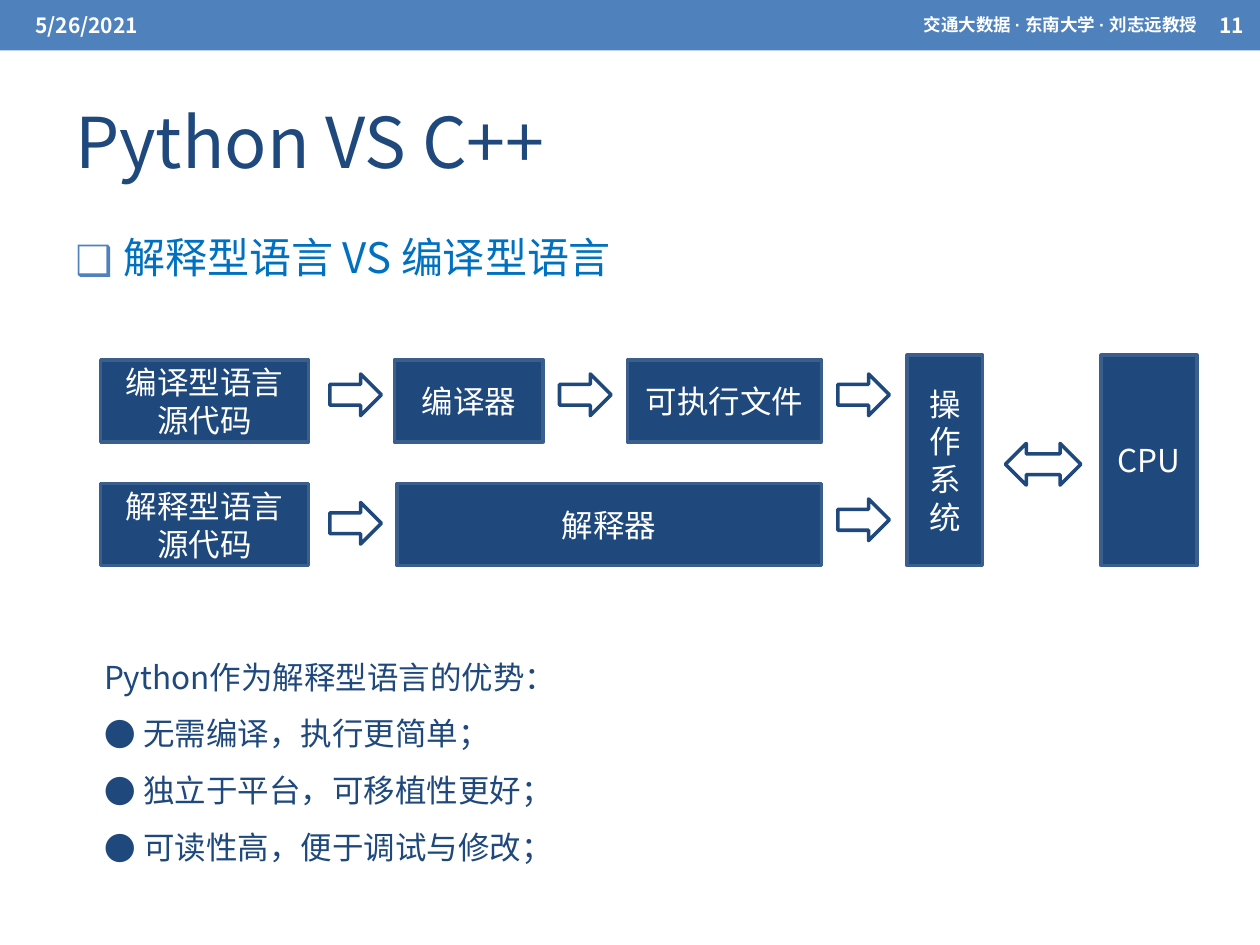
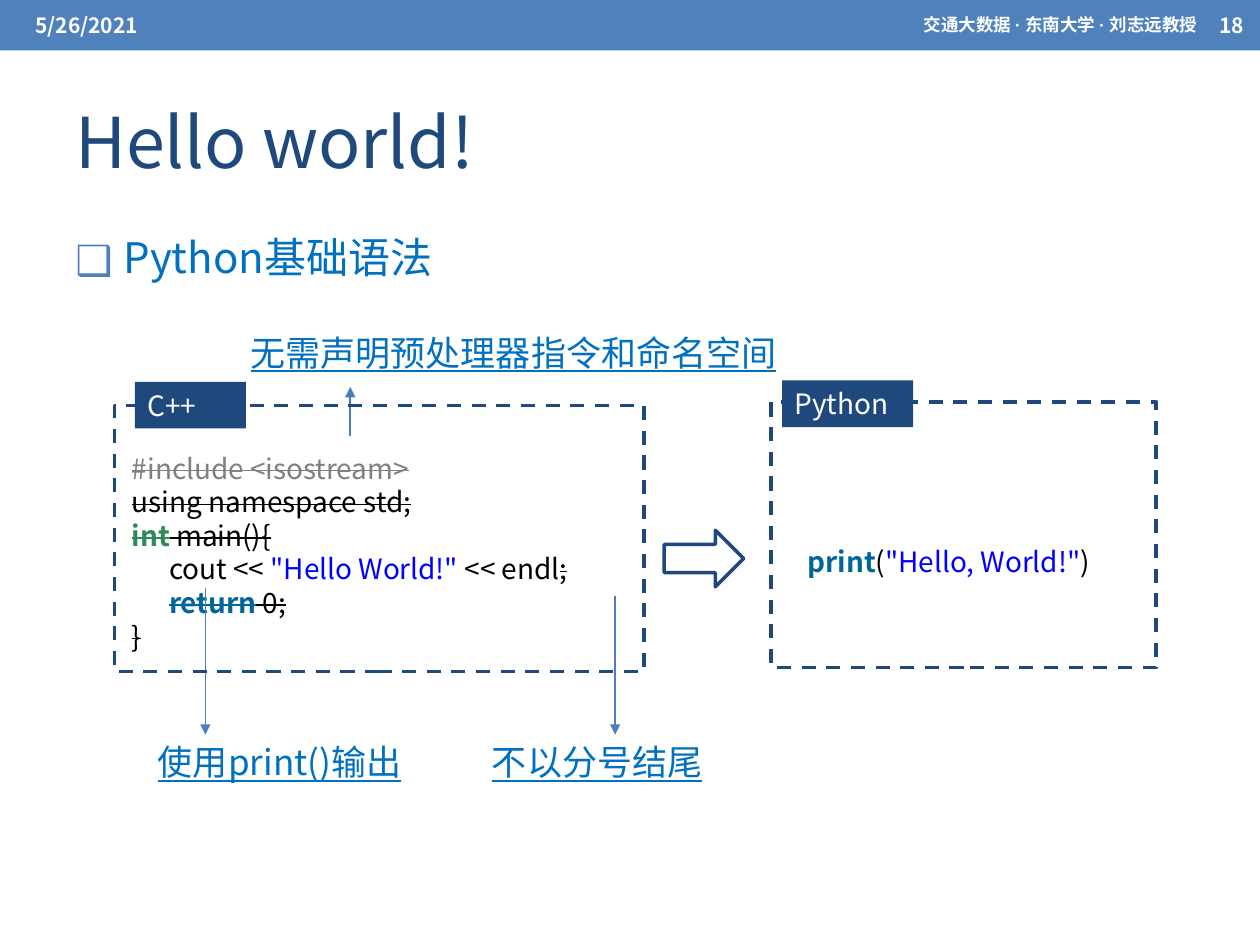
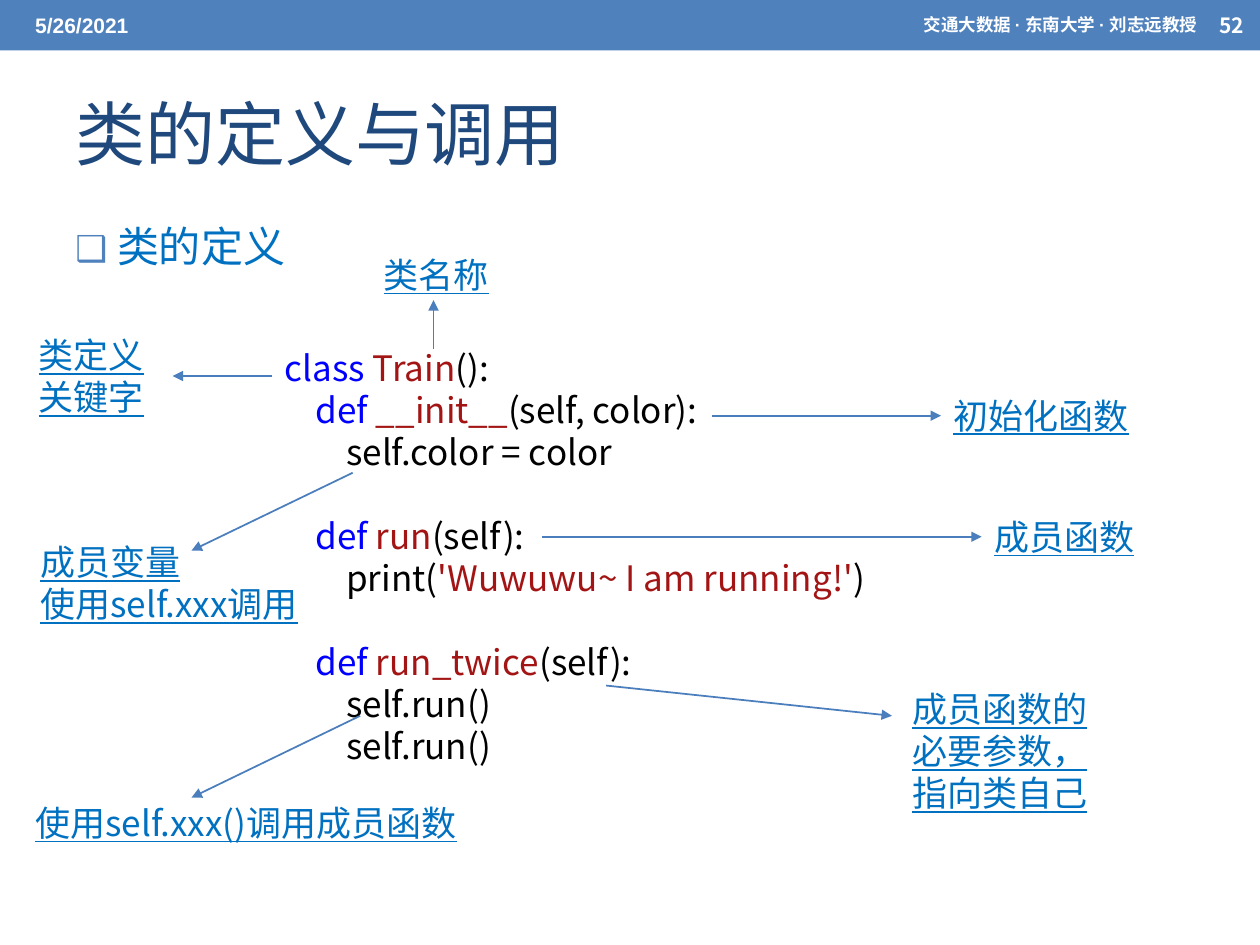
from dataclasses import dataclass
from typing import NamedTuple, Optional

from lxml.etree import SubElement as Sub
from pptx import Presentation
from pptx.dml.color import RGBColor as Rgb
from pptx.enum.dml import MSO_LINE_DASH_STYLE as Dash
from pptx.enum.shapes import MSO_CONNECTOR as Conn, MSO_SHAPE as Kind
from pptx.enum.text import MSO_ANCHOR as Anchor, PP_ALIGN as Align
from pptx.oxml.ns import qn
from pptx.util import Cm, Pt

HUES = {
    "band": "4F81BD", "navy": "1F497D", "edge": "3A5F8C", "link": "4B7EBC",
    "blue": "0070C0", "white": "FFFFFF", "black": "000000", "gray": "808080",
    "green": "2E8B57", "teal": "006699", "pure": "0000FF", "red": "A31515",
}
NOTO = "Noto Sans CJK SC"
ARIAL = "Arial"
CREDIT = "交通大数据 · 东南大学 · 刘志远教授"
LEFT, RIGHT = 1, 3


class Box(NamedTuple):
    x: float
    y: float
    w: float
    h: float


class Bit(NamedTuple):
    text: str
    hue: str = "black"
    bold: bool = False
    strike: bool = False


class Row(NamedTuple):
    bits: list[Bit]
    depth: int = 0
    gap: float = 0


class Block(NamedTuple):
    text: str
    box: Box


class Link(NamedTuple):
    start: tuple[float, float]
    end: tuple[float, float]
    width: float = 1
    note: Optional[int] = None
    side: int = LEFT


@dataclass
class Page:
    title: str
    topic: str
    number: int
    title_y: float = 1.47
    topic_box: Box = Box(1.27, 4.55, 23.37, 1.55)
    topic_gap: float = 1
    mark_size: int = 99
    indent: float = 0.97
    date_font: str = NOTO


def tint(name: str) -> Rgb:
    return Rgb.from_string(HUES[name])


def place(box: Box) -> list[Cm]:
    return [Cm(side) for side in box]


def style(run, size: float, hue: str, bold: bool = False, face: str = NOTO) -> None:
    font = run.font
    font.size, font.bold, font.name = Pt(size), bold, face
    font.color.rgb = tint(hue)
    Sub(font._element, qn("a:ea"), typeface=NOTO)


def write(shape, text: str, size: float, hue: str, align=Align.LEFT,
          anchor=Anchor.TOP, bold: bool = False, face: str = NOTO):
    frame = shape.text_frame
    frame.word_wrap = True
    frame.vertical_anchor = anchor
    frame.text = text
    for para in frame.paragraphs:
        para.alignment = align
        for run in para.runs:
            style(run, size, hue, bold, face)
    return frame


def label(slide, box: Box, text: str, size: float, hue: str, **kind):
    shape = slide.shapes.add_textbox(*place(box))
    write(shape, text, size, hue, **kind)
    return shape


def draw(slide, kind, box: Box, fill: Optional[str] = None,
         edge: Optional[str] = None):
    shape = slide.shapes.add_shape(kind, *place(box))
    shape.shadow.inherit = False
    if fill:
        shape.fill.solid()
        shape.fill.fore_color.rgb = tint(fill)
    else:
        shape.fill.background()
    if edge:
        shape.line.color.rgb = tint(edge)
        shape.line.width = Pt(2)
    else:
        shape.line.fill.background()
    return shape


def mark(para, sign: str, indent: float, hue: Optional[str] = None,
         size: int = 100) -> None:
    props = para._p.get_or_add_pPr()
    props.set("marL", str(Cm(indent)))
    props.set("indent", str(-Cm(indent)))
    if hue:
        Sub(Sub(props, qn("a:buClr")), qn("a:srgbClr"), val=HUES[hue])
    Sub(props, qn("a:buSzPct"), val=str(size * 1000))
    Sub(props, qn("a:buFont"), typeface=NOTO)
    Sub(props, qn("a:buChar"), char=sign)


def code(shape, rows: list[Row], size: float, step: float) -> None:
    frame = shape.text_frame
    frame.word_wrap = True
    for index, row in enumerate(rows):
        para = frame.add_paragraph() if index else frame.paragraphs[0]
        para.alignment = Align.LEFT
        para.space_before = Pt(row.gap)
        para._p.get_or_add_pPr().set("marL", str(Cm(step * row.depth)))
        for bit in row.bits:
            run = para.add_run()
            run.text = bit.text
            style(run, size, bit.hue, bit.bold)
            if bit.strike:
                run.font._element.set("strike", "sngStrike")


def notes(slide, blocks: list[Block], links: list[Link], align=Align.LEFT) -> None:
    shapes = []
    for text, box in blocks:
        shape = label(slide, box, text, 20, "blue", align=align)
        for para in shape.text_frame.paragraphs:
            for run in para.runs:
                run.font.underline = True
        shapes.append(shape)
    for link in links:
        ends = [Cm(value) for value in link.start + link.end]
        line = slide.shapes.add_connector(Conn.STRAIGHT, *ends)
        line.line.color.rgb = tint("link")
        line.line.width = Pt(link.width)
        Sub(line.line._get_or_add_ln(), qn("a:tailEnd"), type="triangle")
        Sub(line._element.spPr, qn("a:effectLst"))
        if link.note is not None:
            line.end_connect(shapes[link.note], link.side)


def start(deck, page: Page):
    slide = deck.slides.add_slide(deck.slide_layouts[6])
    draw(slide, Kind.RECTANGLE, Box(0, 0, 25.4, 1.02), "band")
    head = {"hue": "white", "bold": True, "anchor": Anchor.MIDDLE}
    label(slide, Box(0.46, 0.05, 8.05, 0.91), "5/26/2021", 12,
          face=page.date_font, **head)
    label(slide, Box(10.97, 0.05, 13.41, 0.91), CREDIT, 10,
          face=ARIAL, align=Align.RIGHT, **head)
    label(slide, Box(24.33, 0.05, 1.07, 0.91), str(page.number), 12, **head)
    label(slide, Box(1.27, page.title_y, 22.86, 2.74), page.title, 40, "navy",
          anchor=Anchor.MIDDLE)
    topic = label(slide, page.topic_box, page.topic, 24, "blue")
    para = topic.text_frame.paragraphs[0]
    para.line_spacing = page.topic_gap
    mark(para, "❑", page.indent, "band", page.mark_size)
    return slide


def versus(deck) -> None:
    slide = start(deck, Page("Python VS C++", "解释型语言 VS 编译型语言", 11))
    top, low, high = 7.26, 9.75, 1.65
    blocks = [
        Block("编译型语言\n源代码", Box(2.03, top, 4.19, high)),
        Block("编译器", Box(7.95, top, 3, high)),
        Block("可执行文件", Box(12.65, top, 3.91, high)),
        Block("解释型语言\n源代码", Box(2.03, low, 4.19, high)),
        Block("解释器", Box(8, low, 8.56, high)),
        Block("操作系统", Box(18.29, 7.16, 1.52, 4.24)),
        Block("CPU", Box(22.2, 7.16, 1.93, 4.24)),
    ]
    for text, box in blocks:
        shape = draw(slide, Kind.RECTANGLE, box, "navy", "edge")
        write(shape, text, 18, "white", Align.CENTER, Anchor.MIDDLE)
    spots = [(6.65, 7.54), (11.28, 7.54), (16.89, 7.54), (6.65, 10.13), (16.89, 10.06)]
    for x, y in spots:
        draw(slide, Kind.RIGHT_ARROW, Box(x, y, 1.04, 0.84), edge="navy")
    draw(slide, Kind.LEFT_RIGHT_ARROW, Box(20.27, 8.94, 1.52, 0.84), edge="navy")
    gains = ["Python作为解释型语言的优势：", "无需编译，执行更简单；",
             "独立于平台，可移植性更好；", "可读性高，便于调试与修改；"]
    shape = label(slide, Box(1.85, 12.75, 14.38, 5.64), "\n".join(gains), 18, "navy")
    for index, para in enumerate(shape.text_frame.paragraphs):
        para.line_spacing = 1.5
        if index:
            mark(para, "●", 0.79)


def hello(deck) -> None:
    slide = start(deck, Page("Hello world!", "Python基础语法", 18))
    old = [
        Row([Bit("#include <isostream>", "gray", strike=True)]),
        Row([Bit("using namespace std;", strike=True)]),
        Row([Bit("int", "green", True, True), Bit(" main(){", strike=True)]),
        Row([Bit("cout << "), Bit('"Hello World!" ', "pure"), Bit("<< endl"),
             Bit(";", strike=True)], 1),
        Row([Bit("return", "teal", True, True), Bit(" 0;", strike=True)], 1),
        Row([Bit("}", strike=True)]),
    ]
    new = [Row([Bit("print", "teal", True), Bit("("),
                Bit('"Hello, World!"', "pure"), Bit(")")])]
    for box, rows in [(Box(2.41, 8.97, 10.57, 4.37), old),
                      (Box(16.03, 10.85, 7.29, 0.94), new)]:
        code(slide.shapes.add_textbox(*place(box)), rows, 16, 0.75)
    notes(slide, [
        Block("不以分号结尾", Box(8.84, 14.81, 6.4, 1.12)),
        Block("使用print()输出", Box(2.44, 14.81, 6.4, 1.12)),
        Block("无需声明预处理器指令和命名空间", Box(4.45, 6.55, 11.81, 1.96)),
    ], [
        Link((12.4, 12.01), (12.4, 14.81), 0.75),
        Link((4.14, 11.86), (4.14, 14.81), 0.75),
        Link((7.06, 8.79), (7.06, 7.8)),
    ], Align.CENTER)
    for box in [Box(2.31, 8.18, 10.67, 5.36), Box(15.54, 8.1, 7.77, 5.36)]:
        draw(slide, Kind.RECTANGLE, box, edge="navy").line.dash_style = Dash.DASH
    for text, box in [Block("C++", Box(2.72, 7.7, 2.24, 0.94)),
                      Block("Python", Box(15.77, 7.67, 2.64, 0.94))]:
        write(draw(slide, Kind.RECTANGLE, box, "navy"), text, 16, "white")
    draw(slide, Kind.RIGHT_ARROW, Box(13.39, 10.69, 1.6, 1.14), edge="navy")


def method(name: str, args: str, gap: float = 0) -> Row:
    return Row([Bit("def ", "pure"), Bit(name, "red"), Bit(args)], 1, gap)


def train(deck) -> None:
    slide = start(deck, Page("类的定义与调用", "类的定义", 52, 1.3,
                             Box(1.27, 3.81, 7.47, 1.9), 1.5, 85, 0.84, ARIAL))
    rows = [
        Row([Bit("class ", "pure"), Bit("Train", "red"), Bit("():")]),
        method("__init__", "(self, color):"),
        Row([Bit("self.color = color")], 2),
        method("run", "(self):", 24),
        Row([Bit("print("), Bit("'Wuwuwu~ I am running!'", "red"), Bit(")")], 2),
        method("run_twice", "(self):", 24),
        Row([Bit("self.run()")], 2),
        Row([Bit("self.run()")], 2),
    ]
    shape = draw(slide, Kind.RECTANGLE, Box(5.49, 6.81, 13.16, 8.69), "white")
    shape.text_frame.margin_bottom = Cm(0)
    code(shape, rows, 20, 0.62)
    notes(slide, [
        Block("类定义关键字", Box(0.53, 6.6, 2.95, 1.96)),
        Block("成员函数", Box(19.79, 10.26, 5.03, 1.12)),
        Block("类名称", Box(7.49, 4.98, 2.95, 1.12)),
        Block("初始化函数", Box(18.97, 7.82, 5.03, 1.12)),
        Block("成员变量\n使用self.xxx调用", Box(0.56, 10.77, 5.92, 1.96)),
        Block("使用self.xxx()调用成员函数", Box(0.46, 16.03, 9.3, 1.12)),
        Block("成员函数的必要参数，指向类自己", Box(18.14, 13.74, 4.52, 2.82)),
    ], [
        Link((5.49, 7.58), (3.48, 7.58), note=0, side=RIGHT),
        Link((10.92, 10.82), (19.79, 10.82), note=1),
        Link((8.74, 7.04), (8.74, 6.05)),
        Link((14.35, 8.38), (18.97, 8.38), note=3),
        Link((7.11, 9.53), (3.86, 11.1)),
        Link((7.26, 14.43), (3.86, 16.08)),
        Link((12.22, 13.82), (17.98, 14.43)),
    ])


def main() -> None:
    deck = Presentation()
    deck.slide_width, deck.slide_height = Cm(25.4), Cm(19.05)
    for build in (versus, hello, train):
        build(deck)
    deck.save("out.pptx")


if __name__ == "__main__":
    main()
